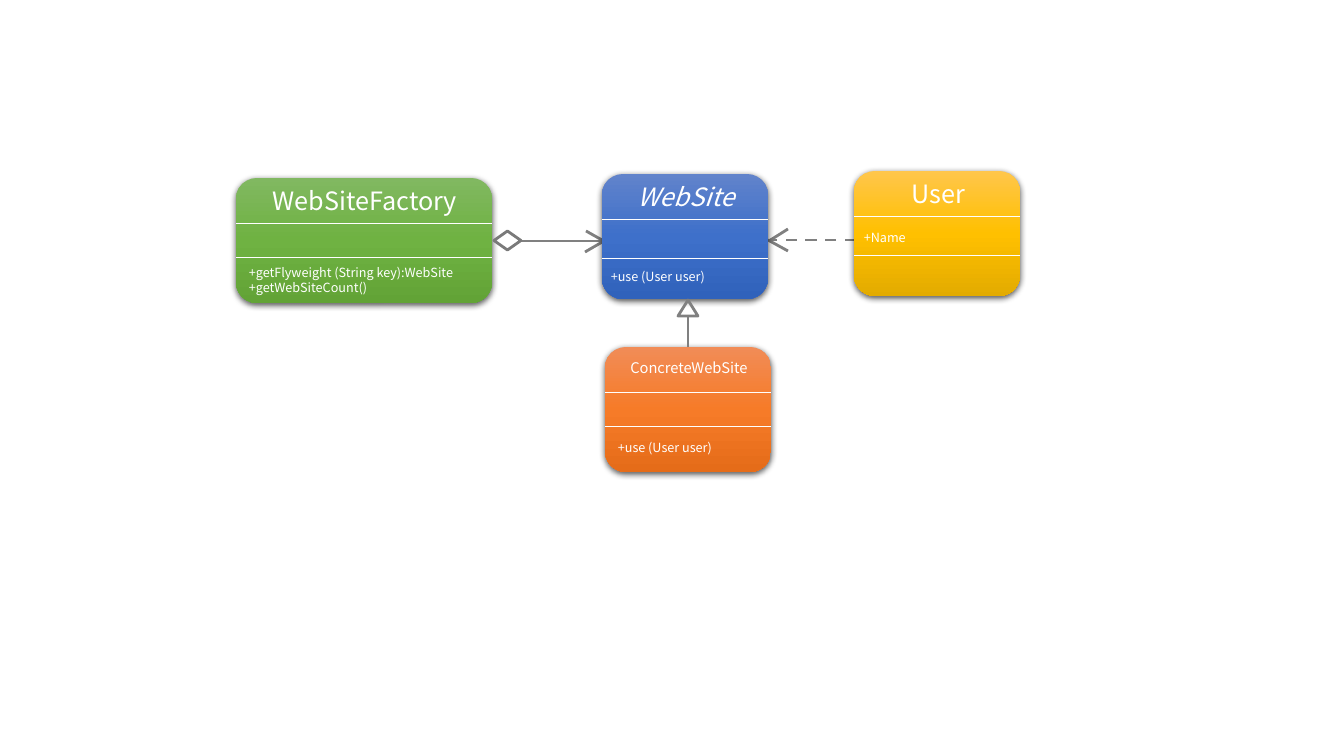
import copy

import pptx
import pptx.dml.color
import pptx.enum.dml
import pptx.enum.shapes
import pptx.enum.text
import pptx.oxml.ns
import pptx.util
from lxml import etree

PX = 914400 / 100.8
FONT = "Noto Sans CJK SC"
GREY = "808080"
WHITE = "FFFFFF"
CARD_H = 125
HEAD_H = 45
SHAPE = pptx.enum.shapes.MSO_SHAPE
qn = pptx.oxml.ns.qn


def px(*vals):
    return [pptx.util.Emu(round(v * PX)) for v in vals]


def rgb(code):
    return pptx.dml.color.RGBColor.from_string(code)


def add_line(slide, start, end, color=GREY, width=2, dash=False):
    kind = pptx.enum.shapes.MSO_CONNECTOR.STRAIGHT
    line = slide.shapes.add_connector(kind, *px(*start, *end))
    line.line.color.rgb = rgb(color)
    line.line.width = pptx.util.Pt(width)
    if dash:
        line.line.dash_style = pptx.enum.dml.MSO_LINE.DASH
    etree.SubElement(line._element.spPr, qn("a:effectLst"))
    return line


def add_text(slide, box, rows, size, center=False, italic=False):
    frame = slide.shapes.add_textbox(*px(*box)).text_frame
    frame.word_wrap = True
    frame.text = "\n".join(rows)
    for para in frame.paragraphs:
        if center:
            para.alignment = pptx.enum.text.PP_ALIGN.CENTER
        para.line_spacing = pptx.util.Pt(size * 1.2)
        para.font.name = FONT
        para.font.size = pptx.util.Pt(size)
        para.font.color.rgb = rgb(WHITE)
        if italic:
            para.font.italic = True


def add_mark(slide, kind, box, color):
    """Add a hollow outline that ends a relation."""
    mark = slide.shapes.add_shape(kind, *px(*box))
    mark.shadow.inherit = False
    mark.fill.background()
    mark.line.color.rgb = rgb(color)
    mark.line.width = pptx.util.Pt(2)


def shade(shape, colors):
    """Fill from top to bottom with three colours."""
    shape.fill.gradient()
    shape.fill.gradient_angle = 270
    stops = shape._element.spPr.find(".//" + qn("a:gsLst"))
    stops.append(copy.deepcopy(stops[-1]))
    for stop, place, color in zip(shape.fill.gradient_stops, (0, 0.5, 1), colors):
        stop.position = place
        stop.color.rgb = rgb(color)


def cast_shadow(shape):
    shape.shadow.inherit = False
    effects = shape._element.spPr.find(qn("a:effectLst"))
    outer = etree.SubElement(effects, qn("a:outerShdw"), blurRad="57150",
                             dist="19050", dir="5400000", rotWithShape="0")
    black = etree.SubElement(outer, qn("a:srgbClr"), val="000000")
    etree.SubElement(black, qn("a:alpha"), val="63000")


def add_card(slide, left, top, width, split, colors, title,
             size=18, drop=2, italic=False):
    """Add a class box; split is the depth of its second rule."""
    card = slide.shapes.add_shape(SHAPE.ROUNDED_RECTANGLE,
                                  *px(left, top, width, CARD_H))
    shade(card, colors)
    card.line.fill.background()
    cast_shadow(card)
    for depth in (HEAD_H, split):
        add_line(slide, (left, top + depth), (left + width, top + depth),
                 WHITE, 0.5)
    add_text(slide, (left + 1, top + drop, width, 40), [title], size,
             center=True, italic=italic)
    return card


def main():
    deck = pptx.Presentation()
    deck.slide_width, deck.slide_height = px(1344, 756)
    slide = deck.slides.add_slide(deck.slide_layouts[6])

    # Aggregation and dependency arrows
    add_line(slide, (521, 241), (656, 241))
    add_line(slide, (586, 231), (602, 240))
    add_line(slide, (604, 241), (585, 252))
    add_line(slide, (856, 240), (772, 240), dash=True)
    add_line(slide, (788, 251), (768, 240))
    add_line(slide, (769, 241), (788, 229))

    concrete = add_card(slide, 605, 347, 166, 79, ("F18C57", "F67B28", "E56C19"),
                        "ConcreteWebSite", size=10.5, drop=7)
    add_card(slide, 602, 174, 166, 84, ("6183CB", "3E70CA", "3062BB"),
             "WebSite", italic=True)
    add_card(slide, 236, 178, 256, 79, ("81B861", "6FB242", "62A336"),
             "WebSiteFactory")
    add_card(slide, 854, 171, 166, 84, ("FFC64B", "FFC000", "E3AB00"), "User")

    for box, rows in (
        ((239, 260, 255, 40),
         ["+getFlyweight (String key):WebSite", "+getWebSiteCount()"]),
        ((608, 435, 165, 25), ["+use (User user)"]),
        ((601, 264, 165, 25), ["+use (User user)"]),
        ((854, 225, 165, 25), ["+Name"]),
    ):
        add_text(slide, box, rows, 9)

    add_mark(slide, SHAPE.DIAMOND, (494, 231, 27, 19), "7A7A7A")
    add_mark(slide, SHAPE.ISOSCELES_TRIANGLE, (678, 300, 20, 16), GREY)
    add_line(slide, (688, 347), (688, 317)).begin_connect(concrete, 0)

    deck.save("out.pptx")


if __name__ == "__main__":
    main()
